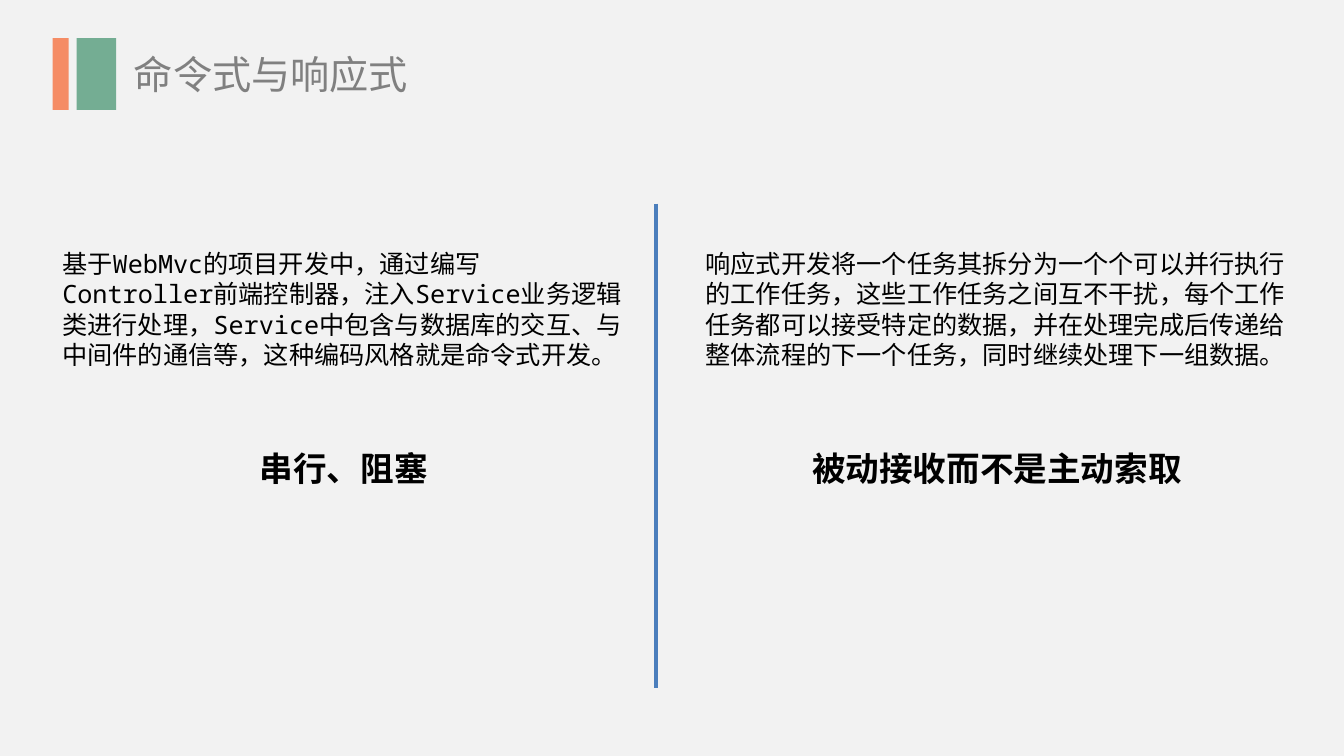
from lxml.etree import SubElement
from pptx import Presentation
from pptx.dml.color import RGBColor
from pptx.enum.shapes import MSO_CONNECTOR, MSO_SHAPE
from pptx.enum.text import MSO_ANCHOR, MSO_AUTO_SIZE, PP_ALIGN
from pptx.oxml.ns import qn
from pptx.util import Cm, Pt

BACKGROUND = RGBColor(0xF2, 0xF2, 0xF2)
ORANGE = RGBColor(0xF5, 0x8C, 0x65)
GREEN = RGBColor(0x74, 0xAD, 0x93)
BLUE = RGBColor(0x4B, 0x7E, 0xBC)
GRAY = RGBColor(0x80, 0x80, 0x80)
BLACK = RGBColor(0, 0, 0)
HEADING_FONT = "Noto Sans CJK SC"
BODY_FONT = "Noto Sans Mono"


def write_text(shape, text, size, font_name, color, bold=False, align=PP_ALIGN.LEFT, wrap=True):
    frame = shape.text_frame
    frame.text = text
    frame.word_wrap = wrap
    frame.auto_size = MSO_AUTO_SIZE.NONE
    frame.vertical_anchor = MSO_ANCHOR.MIDDLE
    paragraph = frame.paragraphs[0]
    paragraph.alignment = align
    paragraph.font.size = Pt(size)
    paragraph.font.bold = bold
    paragraph.font.name = font_name
    paragraph.font.color.rgb = color
    defaults = paragraph._p.pPr.find(qn("a:defRPr"))
    SubElement(defaults, qn("a:ea")).set("typeface", font_name)


presentation = Presentation()
presentation.slide_width = Cm(33.87)
presentation.slide_height = Cm(19.05)
slide = presentation.slides.add_slide(presentation.slide_layouts[5])
slide.background.fill.solid()
slide.background.fill.fore_color.rgb = BACKGROUND

title = slide.shapes.title
title.left, title.top, title.width, title.height = Cm(3.12), Cm(1.14), Cm(7.5), Cm(1.45)
write_text(title, "命令式与响应式", 28, HEADING_FONT, GRAY, wrap=False)

for left, width, color in [(1.33, 0.4, ORANGE), (1.93, 1, GREEN)]:
    bar = slide.shapes.add_shape(MSO_SHAPE.RECTANGLE, Cm(left), Cm(0.96), Cm(width), Cm(1.81))
    bar.shadow.inherit = False
    bar.fill.solid()
    bar.fill.fore_color.rgb = color
    bar.line.fill.background()

divider = slide.shapes.add_connector(
    MSO_CONNECTOR.STRAIGHT, Cm(16.53), Cm(5.13), Cm(16.53), Cm(17.33))
divider.line.color.rgb = BLUE
divider.line.width = Pt(3)
SubElement(divider._element.spPr, qn("a:effectLst"))

columns = [
    (1.32, 14.68, "基于WebMvc的项目开发中，通过编写Controller前端控制器，注入Service业务逻辑类进行处理，"
     "Service中包含与数据库的交互、与中间件的通信等，这种编码风格就是命令式开发。",
     6.27, 4.78, "串行、阻塞"),
    (17.53, 15.19, "响应式开发将一个任务其拆分为一个个可以并行执行的工作任务，这些工作任务之间互不干扰，"
     "每个工作任务都可以接受特定的数据，并在处理完成后传递给整体流程的下一个任务，同时继续处理下一组数据。",
     20.17, 9.91, "被动接收而不是主动索取"),
]
for left, width, description, summary_left, summary_width, summary in columns:
    body = slide.shapes.add_textbox(Cm(left), Cm(6.12), Cm(width), Cm(3.33))
    write_text(body, description, 18, BODY_FONT, BLACK)
    caption = slide.shapes.add_textbox(Cm(summary_left), Cm(11.15), Cm(summary_width), Cm(1.27))
    write_text(caption, summary, 24, HEADING_FONT, BLACK, bold=True,
               align=PP_ALIGN.CENTER, wrap=False)

presentation.save("out.pptx")
